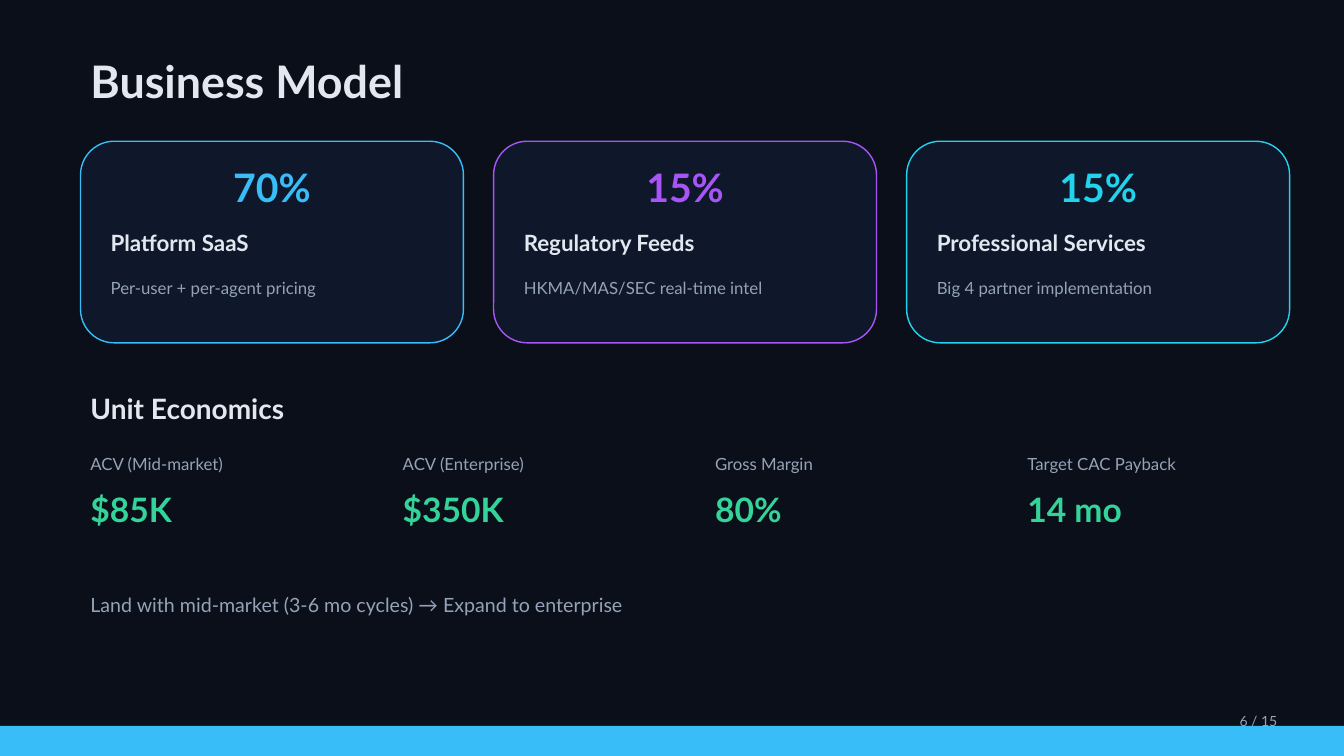
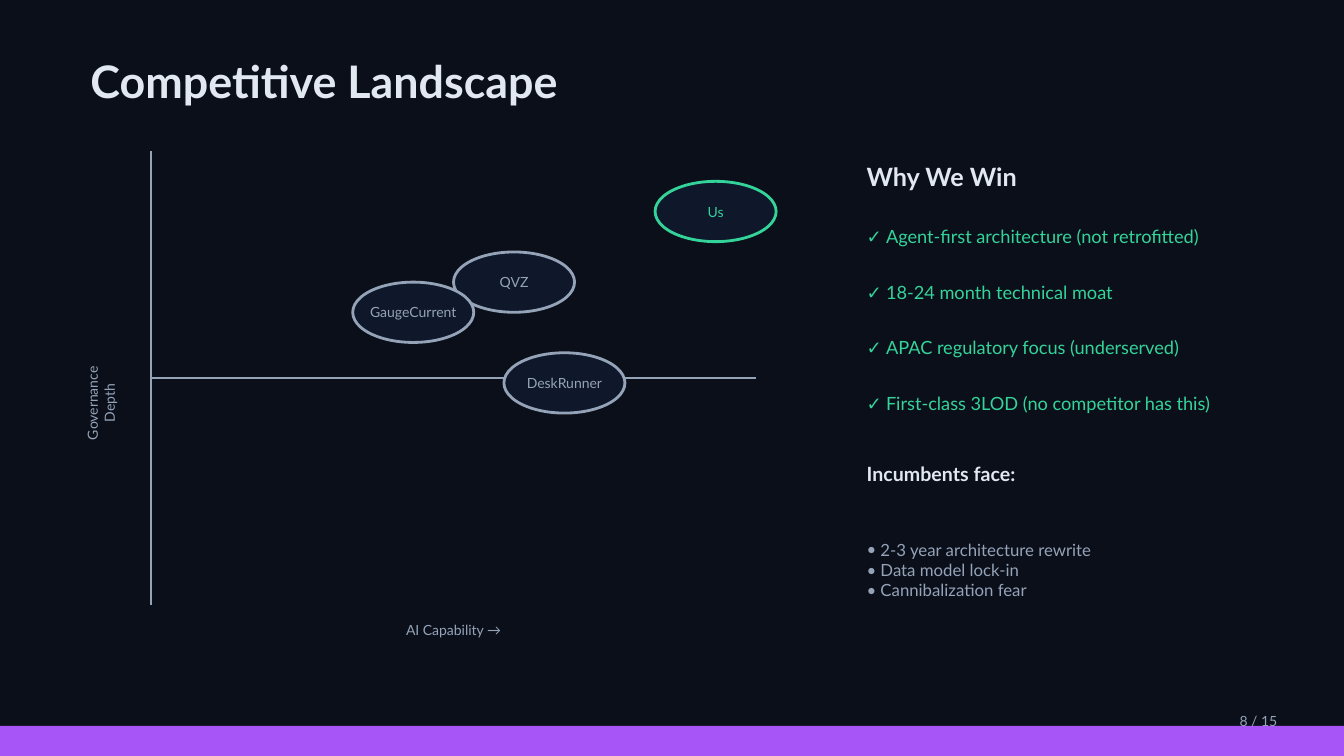
from dataclasses import dataclass
from typing import NamedTuple

from lxml.etree import SubElement as Sub
from pptx import Presentation as Deck
from pptx.dml.color import RGBColor as Rgb
from pptx.enum.shapes import MSO_CONNECTOR as Link, MSO_SHAPE as Form
from pptx.enum.text import MSO_ANCHOR as Anchor, PP_ALIGN as Align
from pptx.oxml.ns import qn
from pptx.util import Cm, Pt


@dataclass(frozen=True)
class Theme:
    font: str = "Lato"
    back: str = "0B0F1A"
    panel: str = "0F172A"
    light: str = "E2E8F0"
    muted: str = "94A3B8"
    blue: str = "38BDF8"
    purple: str = "A855F7"
    cyan: str = "22D3EE"
    green: str = "34D399"
    title: int = 32
    share: int = 28
    figure: int = 24
    section: int = 20
    heading: int = 18
    label: int = 16
    lead: int = 14
    point: int = 13
    body: int = 12
    small: int = 10


class Box(NamedTuple):
    left: float
    top: float
    width: float
    height: float


class Style(NamedTuple):
    size: int
    color: str
    bold: bool = False
    align: Align = Align.LEFT


class Card(NamedTuple):
    share: str
    name: str
    detail: str
    color: str


class Stat(NamedTuple):
    name: str
    value: str


class Rival(NamedTuple):
    name: str
    left: float
    top: float
    color: str


T = Theme()
WIDTH, HEIGHT = 33.87, 19.05
LEFT = 2.03
PAGES = 15
NOTE = Style(T.body, T.muted)
TINY = Style(T.small, T.muted, align=Align.CENTER)

CARDS = [
    Card("70%", "Platform SaaS", "Per-user + per-agent pricing", T.blue),
    Card("15%", "Regulatory Feeds", "HKMA/MAS/SEC real-time intel", T.purple),
    Card("15%", "Professional Services", "Big 4 partner implementation", T.cyan),
]
STATS = [
    Stat("ACV (Mid-market)", "$85K"),
    Stat("ACV (Enterprise)", "$350K"),
    Stat("Gross Margin", "80%"),
    Stat("Target CAC Payback", "14 mo"),
]
RIVALS = [
    Rival("QVZ", 11.43, 6.35, T.muted),
    Rival("DeskRunner", 12.7, 8.89, T.muted),
    Rival("GaugeCurrent", 8.89, 7.11, T.muted),
    Rival("Us", 16.51, 4.57, T.green),
]
WINS = [
    "Agent-first architecture (not retrofitted)",
    "18-24 month technical moat",
    "APAC regulatory focus (underserved)",
    "First-class 3LOD (no competitor has this)",
]
FEARS = ["2-3 year architecture rewrite", "Data model lock-in", "Cannibalization fear"]


def place(box: Box) -> list[Cm]:
    return [Cm(n) for n in box]


def write(frame, text: str, style: Style) -> None:
    frame.text = text
    frame.vertical_anchor = Anchor.MIDDLE
    for para in frame.paragraphs:
        para.alignment = style.align
        for run in para.runs:
            font = run.font
            font.name, font.size, font.bold = T.font, Pt(style.size), style.bold
            font.color.rgb = Rgb.from_string(style.color)


def add_text(slide, box: Box, text: str, style: Style):
    item = slide.shapes.add_textbox(*place(box))
    item.text_frame.word_wrap = True
    write(item.text_frame, text, style)
    return item


def add_list(slide, box: Box, lines: list[str], style: Style,
             mark: str, indent: float, gap: float = 0) -> None:
    item = add_text(slide, box, "\n".join(lines), style)
    for i, para in enumerate(item.text_frame.paragraphs):
        para.space_before = Pt(gap if i else 0)
        props = para._p.get_or_add_pPr()
        props.set("marL", str(Cm(indent)))
        props.set("indent", str(-Cm(indent)))
        Sub(props, qn("a:buFont")).set("typeface", T.font)
        Sub(props, qn("a:buChar")).set("char", mark)


def add_form(slide, form: Form, box: Box, fill: str, line: str = "", width: float = 1):
    item = slide.shapes.add_shape(form, *place(box))
    item.shadow.inherit = False
    item.fill.solid()
    item.fill.fore_color.rgb = Rgb.from_string(fill)
    if line:
        item.line.color.rgb = Rgb.from_string(line)
        item.line.width = Pt(width)
    else:
        item.line.fill.background()
    return item


def add_axis(slide, x: float, y: float, wide: float, high: float) -> None:
    line = slide.shapes.add_connector(Link.STRAIGHT, Cm(x), Cm(y), Cm(x + wide), Cm(y + high))
    line.line.color.rgb = Rgb.from_string(T.muted)
    line.line.width = Pt(1)
    Sub(line._element.spPr, qn("a:effectLst"))


def add_page(deck, title: str, page: int, band: str):
    slide = deck.slides.add_slide(deck.slide_layouts[6])
    fill = slide.background.fill
    fill.solid()
    fill.fore_color.rgb = Rgb.from_string(T.back)
    add_text(slide, Box(LEFT, 1.27, 30.48, 1.52), title, Style(T.title, T.light, True))
    add_form(slide, Form.RECTANGLE, Box(0, 18.29, WIDTH, 0.76), band)
    add_text(slide, Box(30.99, 17.78, 2.54, 0.76), f"{page} / {PAGES}", Style(T.small, T.muted))
    return slide


def add_card(slide, card: Card, left: float) -> None:
    top, wide, pad = 3.56, 9.65, 0.51
    add_form(slide, Form.ROUNDED_RECTANGLE, Box(left, top, wide, 5.08), T.panel, card.color)
    add_text(slide, Box(left, top + 0.25, wide, 1.78), card.share,
             Style(T.share, card.color, True, Align.CENTER))
    inner = wide - 2 * pad
    add_text(slide, Box(left + pad, top + 2.03, inner, 1.02), card.name,
             Style(T.label, T.light, True))
    add_text(slide, Box(left + pad, top + 3.05, inner, 1.27), card.detail, NOTE)


def add_stat(slide, stat: Stat, left: float) -> None:
    add_text(slide, Box(left, 11.18, 7.11, 1.02), stat.name, NOTE)
    add_text(slide, Box(left, 12.19, 7.11, 1.27), stat.value, Style(T.figure, T.green, True))


def add_rival(slide, rival: Rival) -> None:
    box = Box(rival.left, rival.top, 3.05, 1.52)
    oval = add_form(slide, Form.OVAL, box, T.panel, rival.color, 2)
    frame = oval.text_frame
    frame.word_wrap = False
    frame.margin_left = frame.margin_right = Cm(0)
    write(frame, rival.name, TINY._replace(color=rival.color))


def build_model(deck) -> None:
    slide = add_page(deck, "Business Model", 6, T.blue)
    for i, card in enumerate(CARDS):
        add_card(slide, card, LEFT + i * 10.41)
    add_text(slide, Box(LEFT, 9.65, 30.48, 1.27), "Unit Economics",
             Style(T.section, T.light, True))
    for i, stat in enumerate(STATS):
        add_stat(slide, stat, LEFT + i * 7.87)
    add_text(slide, Box(LEFT, 14.73, 30.48, 1.02),
             "Land with mid-market (3-6 mo cycles) → Expand to enterprise",
             Style(T.lead, T.muted))


def build_field(deck) -> None:
    slide = add_page(deck, "Competitive Landscape", 8, T.purple)
    left, top, wide, high = 3.81, 3.81, 15.24, 11.43
    add_axis(slide, left, top, 0, high)
    add_axis(slide, left, top + high / 2, wide, 0)
    add_text(slide, Box(left, 15.49, wide, 0.76), "AI Capability →", TINY)
    depth = add_text(slide, Box(1.27, 8.89, 2.54, 2.54), "Governance\nDepth", TINY)
    depth.rotation = 270
    for rival in RIVALS:
        add_rival(slide, rival)

    side, span = 21.59, 10.92
    add_text(slide, Box(side, 3.81, span, 1.27), "Why We Win", Style(T.heading, T.light, True))
    add_list(slide, Box(side, 5.33, span, 5.46), WINS, Style(T.point, T.green), "✓", 0.49, 24)
    add_text(slide, Box(side, 11.43, span, 1.02), "Incumbents face:",
             Style(T.lead, T.light, True))
    add_list(slide, Box(side, 12.45, span, 3.81), FEARS, NOTE, "•", 0.35)


def main() -> None:
    deck = Deck()
    deck.slide_width, deck.slide_height = Cm(WIDTH), Cm(HEIGHT)
    build_model(deck)
    build_field(deck)
    deck.save("out.pptx")


if __name__ == "__main__":
    main()
